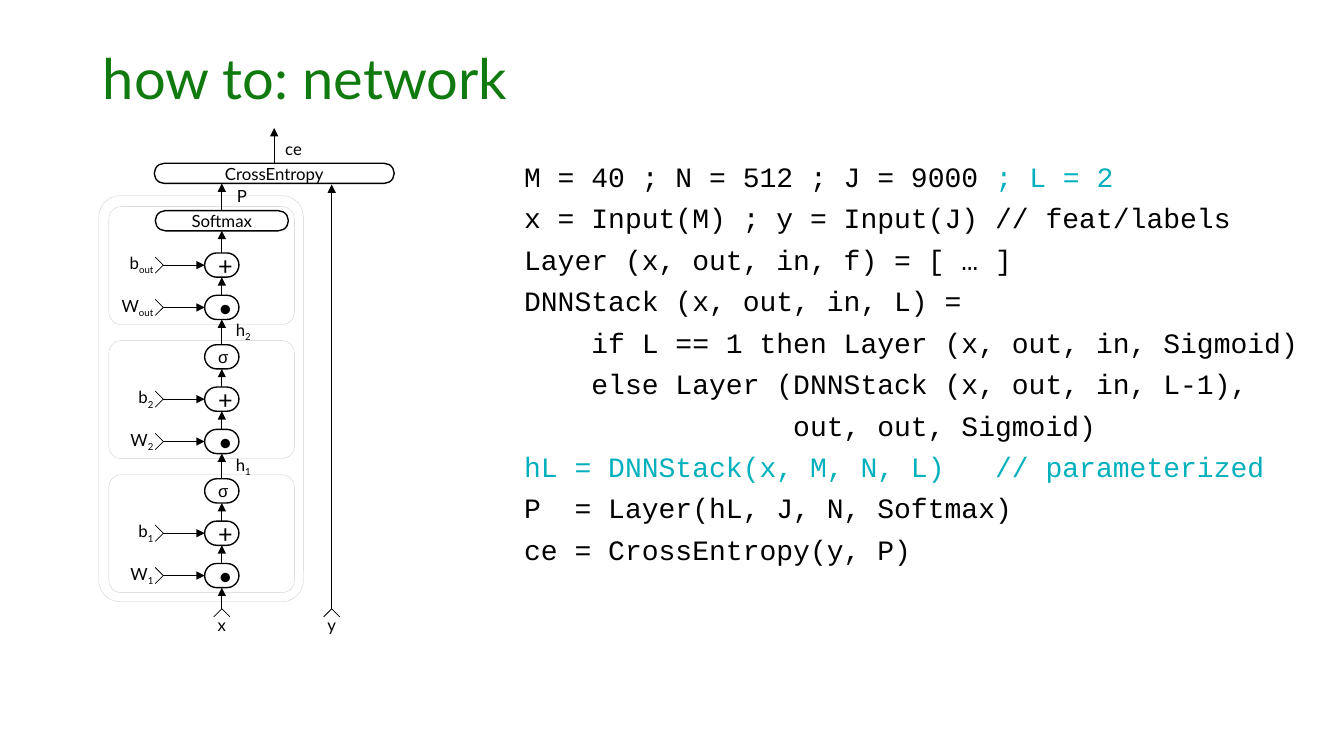
from pptx import Presentation
from pptx import util as u
from pptx.dml.color import RGBColor
from pptx.enum import shapes, text
from pptx.oxml.ns import qn
from lxml import etree

PX = 9144  # 100 px to the inch
BLACK, WHITE = RGBColor(0, 0, 0), RGBColor(255, 255, 255)
GREEN, TEAL = RGBColor(0x11, 0x7A, 0x0E), RGBColor(0x00, 0xB0, 0xBC)
GREY = RGBColor(0xD0, 0xCE, 0xCE)

# Content
TITLE = "how to: network"
CODE = [
    [("M = 40 ; N = 512 ; J = 9000 ", BLACK), ("; L = 2", TEAL)],
    [("x = Input(M) ; y = Input(J) // feat/labels", BLACK)],
    [("Layer (x, out, in, f) = [ … ]", BLACK)],
    [("DNNStack (x, out, in, L) =", BLACK)],
    [("    if L == 1 then Layer (x, out, in, Sigmoid)", BLACK)],
    [("    else Layer (DNNStack (x, out, in, L-1),", BLACK)],
    [("                out, out, Sigmoid)", BLACK)],
    [("hL = DNNStack(x, M, N, L)   // parameterized", TEAL)],
    [("P  = Layer(hL, J, N, Softmax)", BLACK)],
    [("ce = CrossEntropy(y, P)", BLACK)],
]
# Layers from the bottom up: subscript, label widths of W and b, has a sigmoid
LAYERS = [("1", (45, 45), True), ("2", (45, 45), True), ("out", (67, 79), False)]
# Text, subscript, left, top, width, alignment
LABELS = [
    ("h", "1", 224, 450, 45, "LEFT"), ("h", "2", 224, 316, 45, "LEFT"),
    ("P", "", 225, 183, 45, "LEFT"), ("ce", "", 273, 137, 45, "LEFT"),
    ("x", "", 199, 609, 42, "CENTER"), ("y", "", 308, 609, 42, "CENTER"),
]

# Layout
STEM, Y_LINE, SOURCE = 220, 329, 604
BOTTOM_ROW, LAYER_STEP, ROW_STEP = 571, 133, 42
NODE_W, NODE_H, PORT, TICK = 34, 24, 162, 8

deck = Presentation()
deck.slide_width, deck.slide_height = 1333 * PX, 750 * PX
page = deck.slides.add_slide(deck.slide_layouts[5])


def assign(target, **values):
    for name, value in values.items():
        setattr(target, name, value)


def add_span(para, words, size, font, color, subscript=False):
    span = para.add_run()
    span.text = words
    assign(span.font, size=u.Pt(size), name=font)
    span.font.color.rgb = color
    if subscript:
        span.font._element.set("baseline", "-25000")


def add_box(left, top, width, height, adjust, line, weight, fill=None):
    box = page.shapes.add_shape(shapes.MSO_SHAPE.ROUNDED_RECTANGLE,
                                *(n * PX for n in (left, top, width, height)))
    box.adjustments[0] = adjust
    box.shadow.inherit = False
    box.line.color.rgb, box.line.width = line, u.Pt(weight)
    if fill is None:
        box.fill.background()
    else:
        box.fill.solid()
        box.fill.fore_color.rgb = fill
    return box


def add_node(words, left, top, width, height, size=12, font="Lato"):
    node = add_box(left, top, width, height, 0.5, BLACK, 1, WHITE)
    node.text_frame.vertical_anchor = text.MSO_ANCHOR.MIDDLE
    para = node.text_frame.paragraphs[0]
    para.alignment = text.PP_ALIGN.CENTER
    add_span(para, words, size, font, BLACK)
    return node


def add_line(start, end, arrow=True, source=None, target=None):
    line = page.shapes.add_connector(shapes.MSO_CONNECTOR.STRAIGHT,
                                     *(n * PX for n in (*start, *end)))
    line.line.color.rgb, line.line.width = BLACK, u.Pt(0.5)
    etree.SubElement(line._element.spPr, qn("a:effectLst"))
    if arrow:
        etree.SubElement(line.line._get_or_add_ln(), qn("a:tailEnd"), type="triangle")
    if source:
        line.begin_connect(*source)
    if target:
        line.end_connect(*target)


def add_label(words, subscript, left, top, width, align):
    box = page.shapes.add_textbox(left * PX, top * PX, width * PX, 25 * PX)
    assign(box.text_frame, word_wrap=True, margin_left=10 * PX, margin_right=10 * PX,
           margin_top=PX, margin_bottom=5 * PX)
    para = box.text_frame.paragraphs[0]
    para.alignment = text.PP_ALIGN[align]
    add_span(para, words, 12, "Lato", BLACK)
    if subscript:
        add_span(para, subscript, 12, "Lato", BLACK, True)


# Title
title = page.shapes.title
assign(title, left=92 * PX, top=8 * PX, width=1150 * PX, height=145 * PX)
assign(title.text_frame, vertical_anchor=text.MSO_ANCHOR.MIDDLE, word_wrap=True,
       auto_size=text.MSO_AUTO_SIZE.NONE)
heading = title.text_frame.paragraphs[0]
assign(heading, alignment=text.PP_ALIGN.LEFT, line_spacing=0.9)
add_span(heading, TITLE, 40, "Lato", GREEN)

# Frames round each layer and the whole network
for i in range(len(LAYERS)):
    add_box(108, 471 - i * LAYER_STEP, 184, 117, 0.104, GREY, 0.25)
add_box(98, 194, 203, 403, 0.104, GREY, 0.25)

# Layers with their parameter inputs
stack = []
for i, (name, widths, sigmoid) in enumerate(LAYERS):
    ops = [("•", 18, "Lato", "W"), ("+", 18, "Lato", "b"), ("σ", 12, "Arial", None)]
    for j, (sign, size, font, parameter) in enumerate(ops if sigmoid else ops[:2]):
        y = BOTTOM_ROW - i * LAYER_STEP - j * ROW_STEP
        left = STEM - NODE_W // 2
        node = add_node(sign, left, y - NODE_H // 2, NODE_W, NODE_H, size, font)
        stack.append(node)
        if parameter:
            add_line((PORT, y), (left, y), target=(node, 1))
            for side in (-TICK, TICK):
                add_line((PORT, y), (PORT - TICK, y + side), arrow=False)
            add_label(parameter, name, PORT - widths[j], y - 13, widths[j], "RIGHT")

# Output boxes and the arrows up the stem
stack.append(add_node("Softmax", 154, 209, 132, 20))
loss = add_node("CrossEntropy", 153, 162, 238, 20)
for lower, upper in zip(stack, stack[1:]):
    add_line((0, 0), (0, 0), source=(lower, 0), target=(upper, 2))
add_line((STEM, 209), (STEM, 182), source=(stack[-1], 0))
add_line((272, 162), (272, 127), source=(loss, 0))

# Data inputs
add_line((STEM, SOURCE), (STEM, 583), target=(stack[0], 2))
add_line((Y_LINE, SOURCE), (Y_LINE, 183))
for x in (STEM, Y_LINE):
    for side in (-TICK, TICK):
        add_line((x, SOURCE), (x + side, SOURCE + TICK), arrow=False)

for label in LABELS:
    add_label(*label)

# Code listing
listing = page.shapes.add_textbox(460 * PX, 157 * PX, 866 * PX, 188 * PX)
listing.text_frame.word_wrap = True
for n, spans in enumerate(CODE):
    para = listing.text_frame.add_paragraph() if n else listing.text_frame.paragraphs[0]
    assign(para, line_spacing=0.9, space_before=u.Pt(8))
    para._p.get_or_add_pPr().set("marL", str(50 * PX))
    for words, color in spans:
        add_span(para, words, 20, "Courier New", color)

deck.save("out.pptx")
